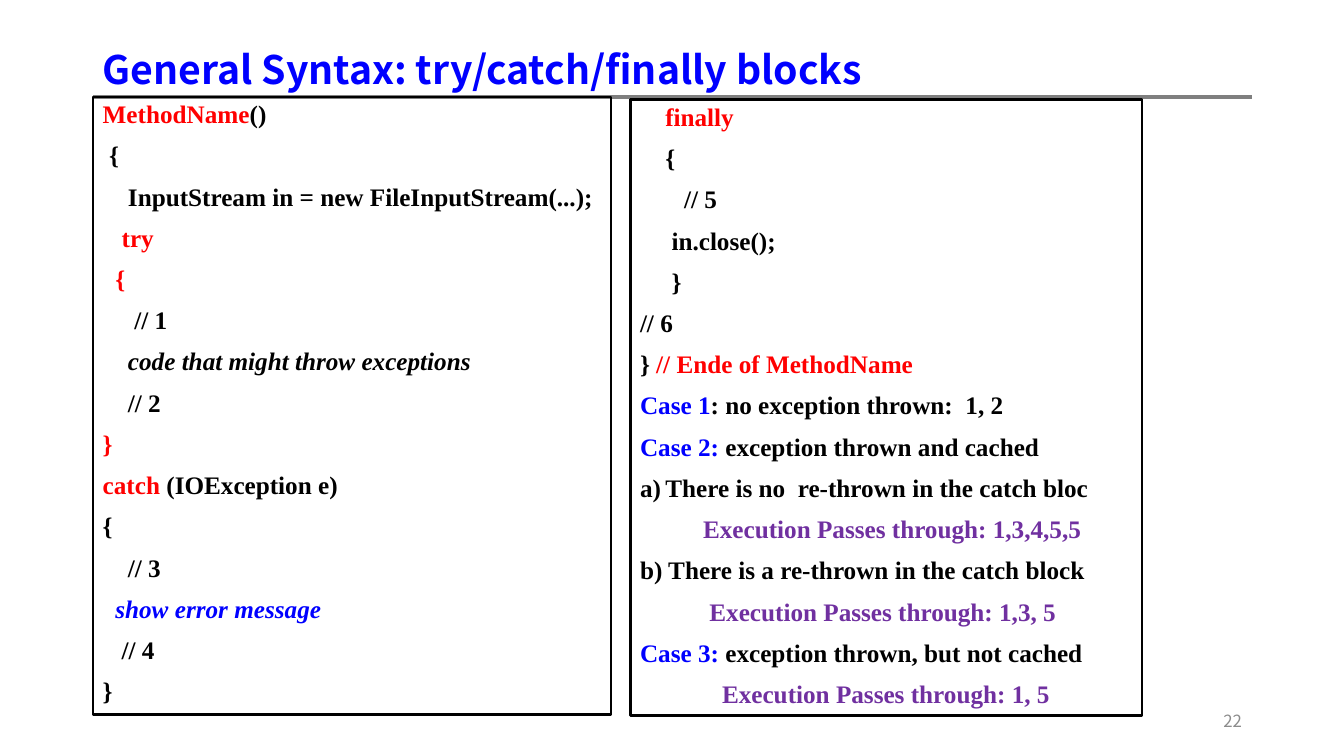
from lxml.etree import SubElement as Sub
from pptx import Presentation
from pptx.dml.color import RGBColor as Rgb
from pptx.enum.shapes import MSO_CONNECTOR as Conn, MSO_SHAPE as Form
from pptx.enum.text import MSO_ANCHOR as Anchor, PP_ALIGN as Align
from pptx.oxml.ns import qn
from pptx.util import Cm, Pt

INK = {"black": "000000", "red": "FF0000", "blue": "0000FF",
       "plum": "7030A0", "gray": "8C8C8C", "rule": "7F7F7F"}
SANS, SERIF = "Noto Sans CJK KR", "Times New Roman"
STEP = 0.159

METHOD = [
    (0, ("MethodName", "red"), ("()", "black")),
    (1, ("{", "black")),
    (4, ("InputStream in = new FileInputStream(...);", "black")),
    (3, ("try", "red")),
    (2, ("{", "red")),
    (5, ("// 1", "black")),
    (4, ("code that might throw exceptions", "black", True)),
    (4, ("// 2", "black")),
    (0, ("}", "red")),
    (0, ("catch", "red"), (" (IOException e)", "black")),
    (0, ("{", "black")),
    (4, ("// 3", "black")),
    (2, ("show error message", "blue", True)),
    (3, ("// 4", "black")),
    (0, ("}", "black")),
]
CASES = [
    (4, ("finally", "red")),
    (4, ("{", "black")),
    (7, ("// 5", "black")),
    (5, ("in.close();", "black")),
    (5, ("}", "black")),
    (0, ("// 6", "black")),
    (0, ("} ", "black"), ("// Ende of MethodName", "red")),
    (0, ("Case 1", "blue"), (": no exception thrown:  1, 2", "black")),
    (0, ("Case 2:", "blue"), (" exception thrown and cached", "black")),
    ("a)", ("There is no  re-thrown in the catch bloc", "black")),
    (10, ("Execution Passes through: 1,3,4,5,5", "plum")),
    (0, ("b) There is a re-thrown in the catch block", "black")),
    (11, ("Execution Passes through: 1,3, 5", "plum")),
    (0, ("Case 3: ", "blue"), ("exception thrown, but not cached", "black")),
    (13, ("Execution Passes through: 1, 5", "plum")),
]


def style(run, face, size, ink, bold=False, slant=False):
    """Set the font of one run."""
    font = run.font
    font.name, font.size = face, Pt(size)
    font.bold, font.italic = bold, slant
    font.color.rgb = Rgb.from_string(INK[ink])


def indent(para, depth):
    """Indent a paragraph by space widths, or letter it as a list item."""
    props = para._p.get_or_add_pPr()
    if depth == "a)":
        props.set("marL", str(Cm(0.64)))
        props.set("indent", str(-Cm(0.64)))
        Sub(props, qn("a:buAutoNum"), type="alphaLcParenR")
    elif depth:
        props.set("marL", str(Cm(depth * STEP)))


def label(slide, box, text, size, ink, bold=False, align=Align.LEFT):
    """Add one line of sans text, centred in height."""
    frame = slide.shapes.add_textbox(*map(Cm, box)).text_frame
    frame.word_wrap = True
    frame.vertical_anchor = Anchor.MIDDLE
    frame.text = text
    para = frame.paragraphs[0]
    para.alignment = align
    style(para.runs[0], SANS, size, ink, bold)


def rule(slide, left, top, right):
    """Draw the horizontal line under the title."""
    line = slide.shapes.add_connector(
        Conn.STRAIGHT, Cm(left), Cm(top), Cm(right), Cm(top))
    line.line.width = Pt(3)
    line.line.color.rgb = Rgb.from_string(INK["rule"])
    Sub(line._element.spPr, qn("a:effectLst"))


def panel(slide, box, width, rows):
    """Add a framed panel of code lines."""
    shape = slide.shapes.add_shape(Form.RECTANGLE, *map(Cm, box))
    shape.shadow.inherit = False
    shape.fill.background()
    shape.line.width = Pt(width)
    shape.line.color.rgb = Rgb.from_string(INK["black"])
    frame = shape.text_frame
    frame.word_wrap = True
    frame.vertical_anchor = Anchor.TOP
    frame.text = "\n".join(first[0] for _, first, *_ in rows)
    for para, (depth, *parts) in zip(frame.paragraphs, rows):
        para.alignment = Align.LEFT
        para.line_spacing = 0.9
        para.space_before = Pt(10)
        indent(para, depth)
        for text, *_ in parts[1:]:
            para.add_run().text = text
        for run, (_, ink, *slant) in zip(para.runs, parts):
            style(run, SERIF, 18, ink, True, bool(slant))


def main():
    """Build the slide and save it."""
    deck = Presentation()
    deck.slide_width, deck.slide_height = Cm(33.87), Cm(19.05)
    slide = deck.slides.add_slide(deck.slide_layouts[6])
    rule(slide, 2.34, 2.44, 31.55)
    label(slide, (2.34, 1.02, 29.21, 1.42),
          "General Syntax: try/catch/finally blocks", 28, "blue", True)
    panel(slide, (2.34, 2.44, 13.06, 15.57), 1.75, METHOD)
    label(slide, (23.93, 17.65, 7.62, 1.02), "22", 12, "gray",
          align=Align.RIGHT)
    panel(slide, (15.88, 2.51, 12.9, 15.52), 2, CASES)
    deck.save("out.pptx")


if __name__ == "__main__":
    main()
